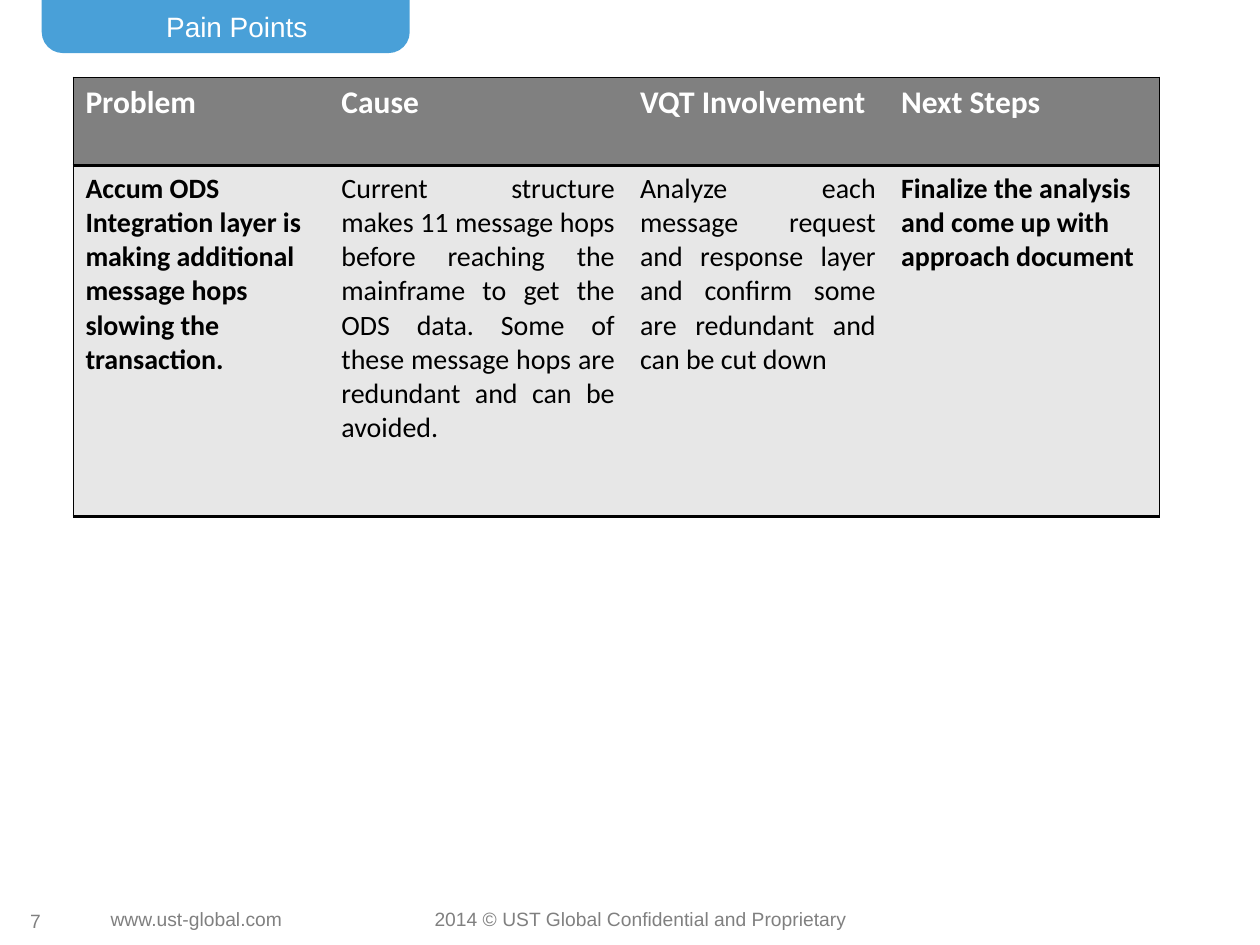
"""Build the pain points slide: a title tab, a problem table and a footer."""
from dataclasses import dataclass

import lxml.etree
import pptx
import pptx.dml.color
import pptx.enum.shapes
import pptx.enum.text
import pptx.oxml.ns
import pptx.util

Cm = pptx.util.Cm
Pt = pptx.util.Pt
RGBColor = pptx.dml.color.RGBColor
Align = pptx.enum.text.PP_ALIGN
Anchor = pptx.enum.text.MSO_ANCHOR

BLUE = RGBColor(0x49, 0xA0, 0xD8)
GREY = RGBColor(0x80, 0x80, 0x80)
LIGHT_GREY = RGBColor(0xE7, 0xE7, 0xE7)
WHITE = RGBColor(0xFF, 0xFF, 0xFF)
BLACK = RGBColor(0, 0, 0)
NO_STYLE = "{2D5ABB26-0587-4C30-8999-92F81FD0307C}"
THIN, THICK = 0.25, 2


@dataclass(frozen=True)
class Label:
    text: str
    left: float
    top: float
    width: float
    height: float
    size: float = 11
    color: RGBColor = GREY
    align: Align = Align.LEFT
    anchor: Anchor = Anchor.TOP
    wrap: bool = True
    inset: bool = True


@dataclass(frozen=True)
class Column:
    heading: str
    body: str
    width: float
    bold: bool = False
    align: Align = Align.LEFT


LABELS = (
    Label("www.ust-global.com", 1.98, 18.16, 4.01, 0.74, wrap=False),
    Label("2014 © UST Global Confidential and Proprietary", 8.51, 18.16, 8.89, 0.74, wrap=False),
    Label("7", 0.23, 18.31, 0.97, 0.51, align=Align.CENTER, anchor=Anchor.MIDDLE, inset=False),
    Label("Pain Points", 0.84, 0, 7.87, 1.07, size=16, color=WHITE,
          align=Align.CENTER, anchor=Anchor.MIDDLE),
)

COLUMNS = (
    Column("Problem", "Accum ODS Integration layer is making additional message hops "
           "slowing the transaction.", 5.16, bold=True),
    Column("Cause", "Current structure makes 11 message hops before reaching the mainframe "
           "to get the ODS data. Some of these message hops are redundant and can be avoided.",
           6.02, align=Align.JUSTIFY),
    Column("VQT Involvement", "Analyze each message request and response layer and confirm "
           "some are redundant and can be cut down", 5.26, align=Align.JUSTIFY),
    Column("Next Steps", "Finalize the analysis and come up with approach document",
           5.46, bold=True),
)
ROW_HEIGHTS = (1.78, 7.09)


def write_text(text_frame, text: str, *, size: float, color: RGBColor, name: str = "Arial",
               bold: bool = False, align: Align = Align.LEFT) -> None:
    paragraph = text_frame.paragraphs[0]
    paragraph.alignment = align
    run = paragraph.add_run()
    run.text = text
    run.font.name = name
    run.font.size = Pt(size)
    run.font.bold = bold
    run.font.color.rgb = color


def add_label(slide, label: Label) -> None:
    shape = slide.shapes.add_textbox(
        Cm(label.left), Cm(label.top), Cm(label.width), Cm(label.height))
    text_frame = shape.text_frame
    text_frame.word_wrap = label.wrap
    text_frame.vertical_anchor = label.anchor
    if not label.inset:
        text_frame.margin_left = text_frame.margin_right = 0
        text_frame.margin_top = text_frame.margin_bottom = 0
    write_text(text_frame, label.text, size=label.size, color=label.color, align=label.align)


def add_title_tab(slide) -> None:
    tab = slide.shapes.add_shape(pptx.enum.shapes.MSO_SHAPE.ROUND_2_SAME_RECTANGLE,
                                 Cm(0.84), 0, Cm(7.42), Cm(1.07))
    tab.adjustments[0] = 0.4
    tab.adjustments[1] = 0
    tab.rotation = 180
    tab.shadow.inherit = False
    tab.fill.solid()
    tab.fill.fore_color.rgb = BLUE
    tab.line.fill.background()


def set_borders(cell, widths: dict[str, float]) -> None:
    qualified = pptx.oxml.ns.qn
    properties = cell._tc.get_or_add_tcPr()
    for position, side in enumerate("LRTB"):
        line = lxml.etree.Element(qualified(f"a:ln{side}"))
        if side in widths:
            line.set("w", str(int(Pt(widths[side]))))
            fill = lxml.etree.SubElement(line, qualified("a:solidFill"))
            lxml.etree.SubElement(fill, qualified("a:srgbClr"), val=str(BLACK))
        else:
            lxml.etree.SubElement(line, qualified("a:noFill"))
        properties.insert(position, line)


def fill_cell(cell, text: str, background: RGBColor, borders: dict[str, float], **style) -> None:
    cell.fill.solid()
    cell.fill.fore_color.rgb = background
    set_borders(cell, borders)
    write_text(cell.text_frame, text, name="Calibri", **style)


def add_problem_table(slide) -> None:
    frame = slide.shapes.add_table(
        len(ROW_HEIGHTS), len(COLUMNS), Cm(1.47), Cm(1.55),
        Cm(sum(column.width for column in COLUMNS)), Cm(sum(ROW_HEIGHTS)))
    table = frame.table
    table.horz_banding = False
    next(frame._element.iter(pptx.oxml.ns.qn("a:tableStyleId"))).text = NO_STYLE
    for row, height in zip(table.rows, ROW_HEIGHTS):
        row.height = Cm(height)
    for index, column in enumerate(COLUMNS):
        table.columns[index].width = Cm(column.width)
        sides = {}
        if index == 0:
            sides["L"] = THIN
        if index == len(COLUMNS) - 1:
            sides["R"] = THIN
        fill_cell(table.cell(0, index), column.heading, GREY,
                  {**sides, "T": THIN, "B": THICK}, size=18, color=WHITE, bold=True)
        fill_cell(table.cell(1, index), column.body, LIGHT_GREY,
                  {**sides, "T": THICK, "B": THICK}, size=16, color=BLACK,
                  bold=column.bold, align=column.align)


def main() -> None:
    presentation = pptx.Presentation()
    presentation.slide_width = Cm(25.4)
    presentation.slide_height = Cm(19.05)
    slide = presentation.slides.add_slide(presentation.slide_layouts[6])
    add_title_tab(slide)
    for label in LABELS:
        add_label(slide, label)
    add_problem_table(slide)
    presentation.save("out.pptx")


if __name__ == "__main__":
    main()
